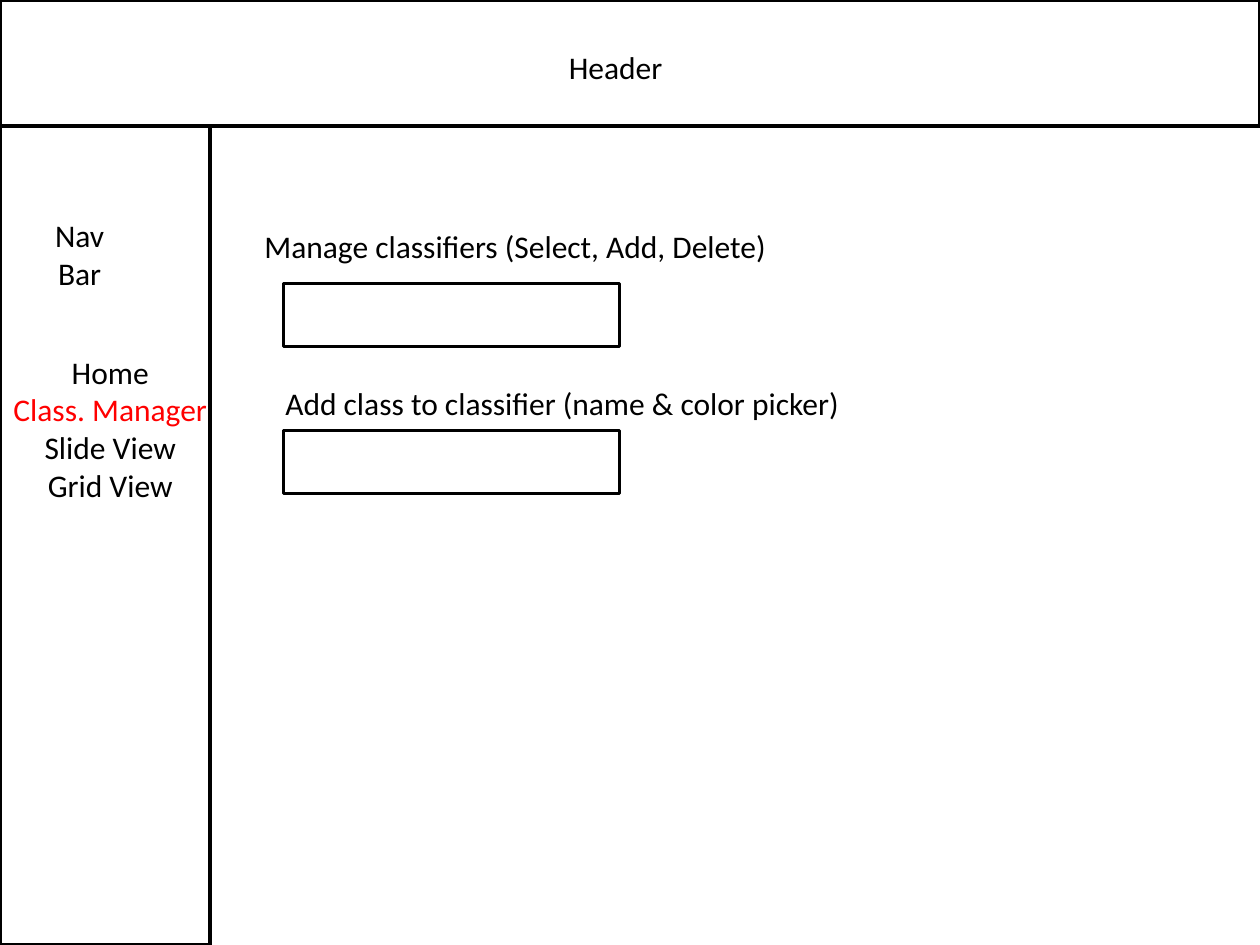
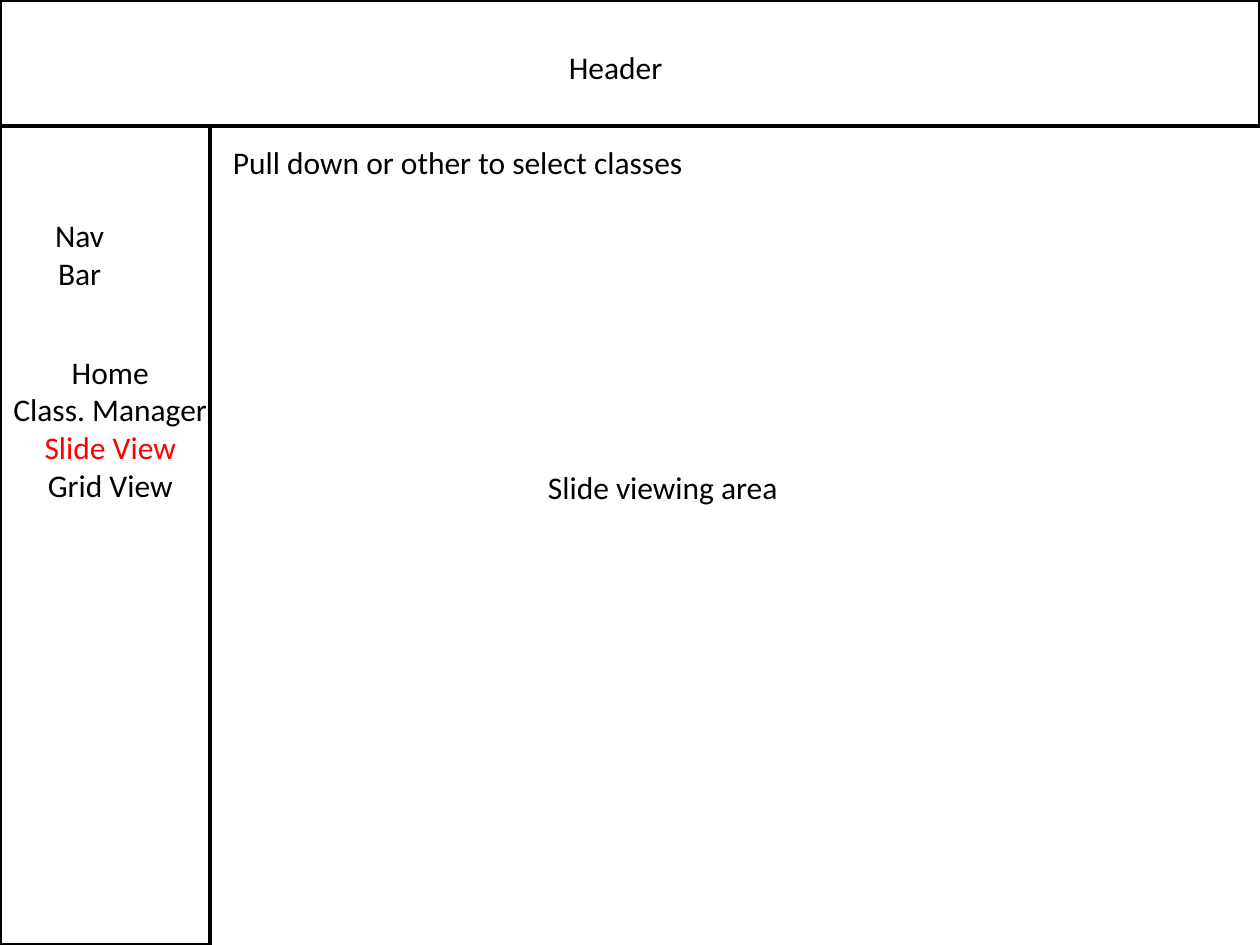
from dataclasses import dataclass
from pptx import Presentation
from pptx.dml.color import RGBColor
from pptx.enum.shapes import MSO_SHAPE
from pptx.enum.text import MSO_AUTO_SIZE, PP_ALIGN
from pptx.util import Pt


@dataclass(frozen=True)
class Theme:
    ink: RGBColor = RGBColor(0, 0, 0)
    active: RGBColor = RGBColor(255, 0, 0)
    font: str = "Calibri"
    size: int = 18
    line: int = 2


theme = Theme()
WIDTH, HEIGHT = 720, 540
HEADER_H, NAV_W = 72, 120
NAV_ITEMS = ["Home", "Class. Manager", "Slide View", "Grid View"]


def add_box(s, x, y, w, h):
    """Outlined rectangle without fill."""
    box = s.shapes.add_shape(MSO_SHAPE.RECTANGLE, Pt(x), Pt(y), Pt(w), Pt(h))
    box.shadow.inherit = False
    box.fill.background()
    box.line.color.rgb = theme.ink
    box.line.width = Pt(theme.line)


def add_text(s, x, y, w, h, lines, align=PP_ALIGN.LEFT, active=None):
    """Unwrapped text box, one paragraph a line; the active line is red."""
    tf = s.shapes.add_textbox(Pt(x), Pt(y), Pt(w), Pt(h)).text_frame
    tf.text = "\n".join(lines)
    tf.word_wrap = False
    tf.auto_size = MSO_AUTO_SIZE.SHAPE_TO_FIT_TEXT
    for p in tf.paragraphs:
        p.alignment = align
        for r in p.runs:
            r.font.name = theme.font
            r.font.size = Pt(theme.size)
            r.font.color.rgb = theme.active if r.text == active else theme.ink


# Each page: active nav item, labels (x, y, width, text), input fields (x, y)
pages = [
    ("Class. Manager",
     [(144, 126, 304.5, "Manage classifiers (Select, Add, Delete)"),
      (156, 216, 335, "Add class to classifier (name & color picker)")],
     [(162, 162), (162, 246)]),
    ("Slide View",
     [(126, 78, 274.5, "Pull down or other to select classes"),
      (306, 264, 147.5, "Slide viewing area")],
     []),
]

prs = Presentation()
prs.slide_width, prs.slide_height = Pt(WIDTH), Pt(HEIGHT)

for active, labels, fields in pages:
    s = prs.slides.add_slide(prs.slide_layouts[6])

    # Header band
    add_box(s, 0, 0, WIDTH, HEADER_H)
    add_text(s, 318, 24, 72.5, 29, ["Header "])

    # Navigation column
    add_box(s, 0, HEADER_H, NAV_W, HEIGHT - HEADER_H)
    add_text(s, 24, 120, 43, 51, ["Nav", "Bar"], PP_ALIGN.CENTER)
    add_text(s, 0, 198, 126, 94.5, NAV_ITEMS, PP_ALIGN.CENTER, active)

    # Page content
    for x, y, w, text in labels:
        add_text(s, x, y, w, 29, [text])
    for x, y in fields:
        add_box(s, x, y, 192, 36)

prs.save("out.pptx")
